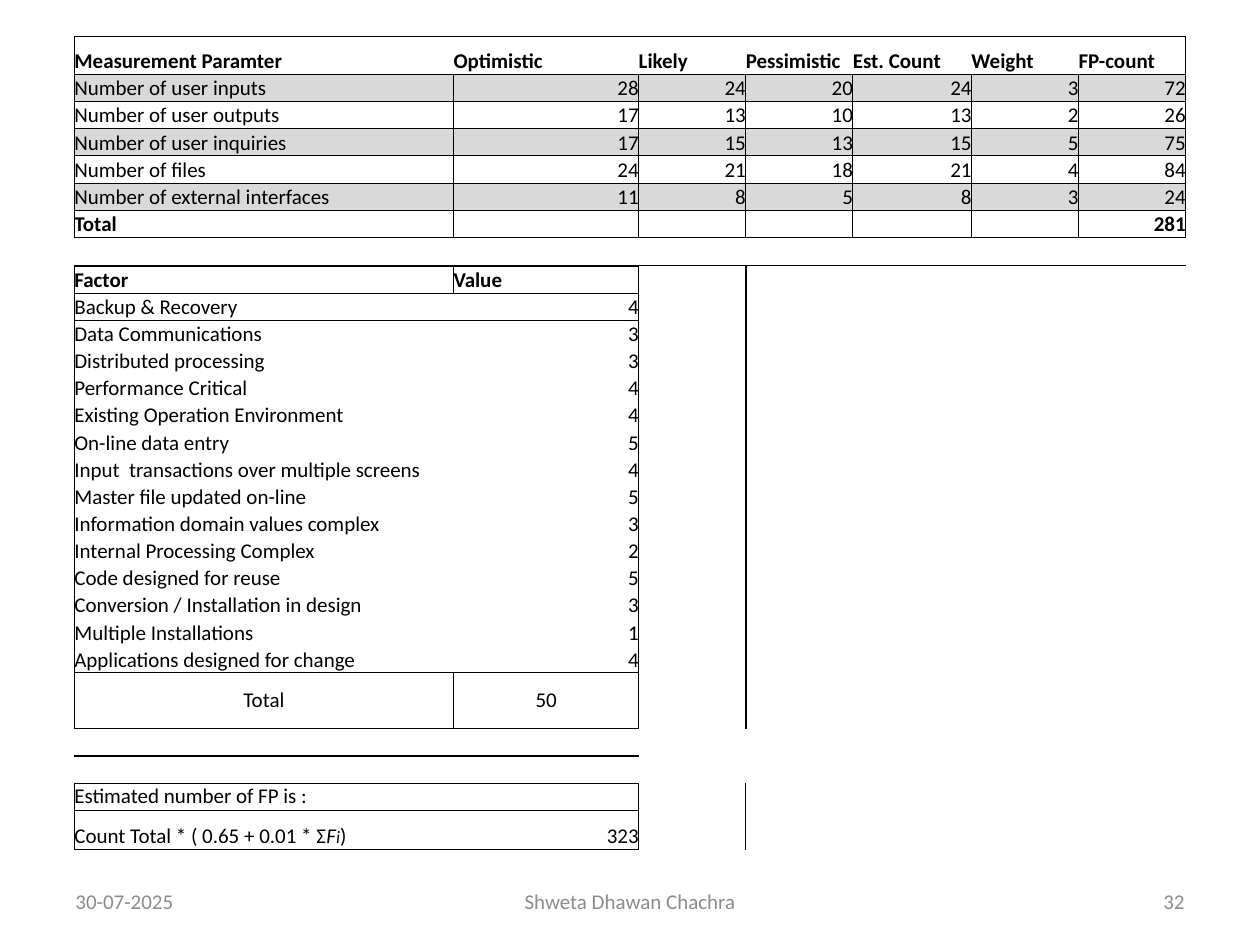
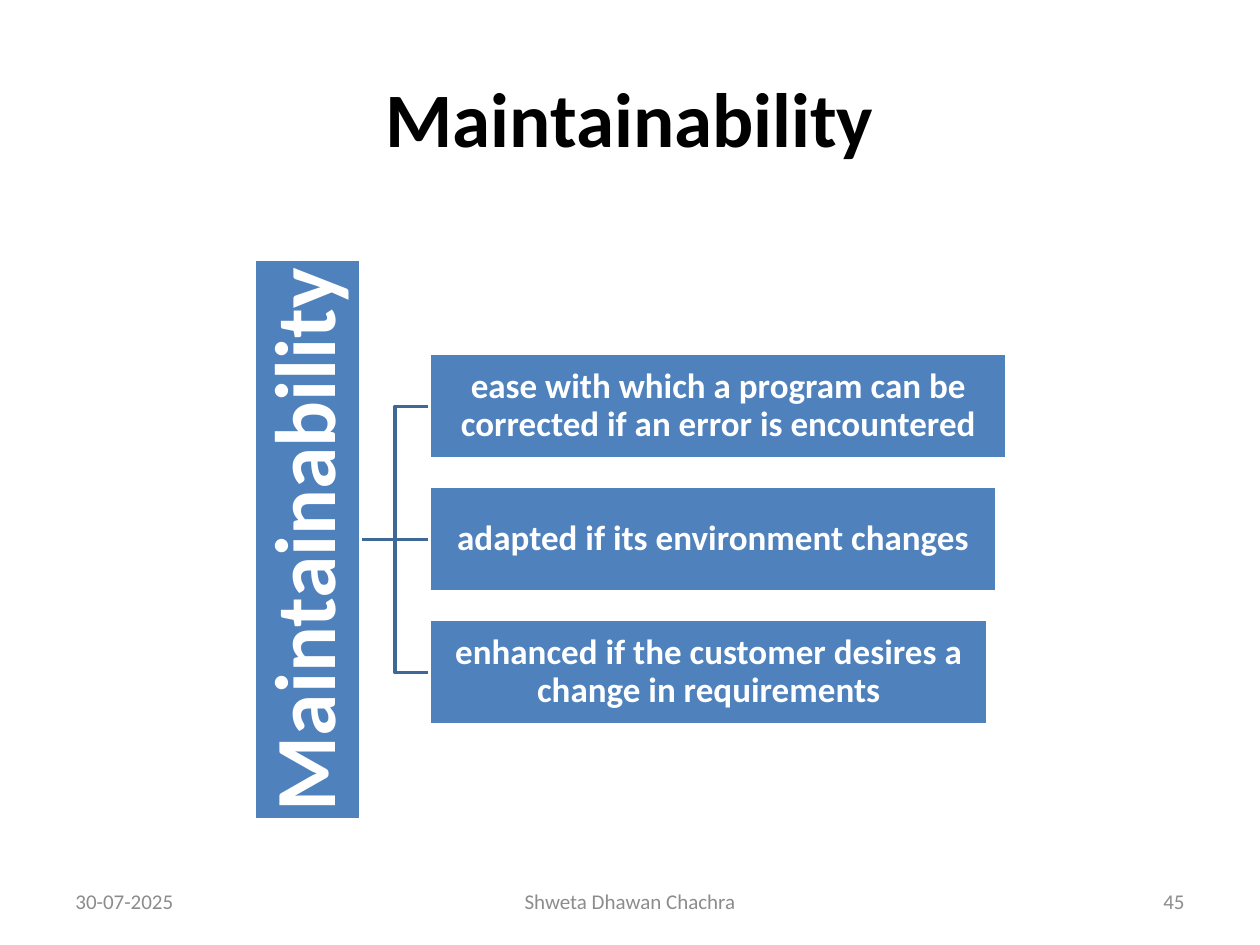
from lxml.etree import SubElement
from pptx import Presentation
from pptx.dml.color import RGBColor
from pptx.enum.shapes import MSO_CONNECTOR as Connector, MSO_SHAPE as Preset
from pptx.enum.text import MSO_ANCHOR as Anchor, PP_ALIGN as Align
from pptx.oxml.ns import qn
from pptx.util import Pt

BLACK = RGBColor(0x00, 0x00, 0x00)
WHITE = RGBColor(0xFF, 0xFF, 0xFF)
FOOTER_GREY = RGBColor(0x8C, 0x8C, 0x8C)
STRIPE_GREY = RGBColor(0xD9, 0xD9, 0xD9)
BOX_BLUE = RGBColor(0x4F, 0x81, 0xBD)
LINE_BLUE = RGBColor(0x3F, 0x67, 0x97)
PLAIN_TABLE_STYLE = "{2D5ABB26-0587-4C30-8999-92F81FD0307C}"
THIN, MEDIUM = 0.5, 1

PARAMETERS = [
    ("Measurement Paramter", "Optimistic", "Likely", "Pessimistic", "Est. Count", "Weight", "FP-count"),
    ("Number of user inputs", 28, 24, 20, 24, 3, 72),
    ("Number of user outputs", 17, 13, 10, 13, 2, 26),
    ("Number of user inquiries", 17, 15, 13, 15, 5, 75),
    ("Number of files", 24, 21, 18, 21, 4, 84),
    ("Number of external interfaces", 11, 8, 5, 8, 3, 24),
    ("Total", "", "", "", "", "", 281),
]
FACTORS = [
    ("Factor", "Value"),
    ("Backup & Recovery", 4),
    ("Data Communications", 3),
    ("Distributed processing", 3),
    ("Performance Critical", 4),
    ("Existing Operation Environment", 4),
    ("On-line data entry", 5),
    ("Input  transactions over multiple screens", 4),
    ("Master file updated on-line", 5),
    ("Information domain values complex", 3),
    ("Internal Processing Complex", 2),
    ("Code designed for reuse", 5),
    ("Conversion / Installation in design", 3),
    ("Multiple Installations", 1),
    ("Applications designed for change", 4),
    ("Total", 50),
]
FORMULA = [("Count Total * ( 0.65 + 0.01 * Σ", None, None), ("F", True, None), ("i", True, 10), (")", None, None)]
RESULT = [("Estimated number of FP is :", ""), (FORMULA, 323)]

GAP_ROW = len(PARAMETERS)
FACTOR_ROW = GAP_ROW + 1
TOTAL_ROW = FACTOR_ROW + len(FACTORS) - 1
RESULT_ROW = TOTAL_ROW + 4
LAST_ROW = RESULT_ROW + 1
COLUMN_WIDTHS = [216.7, 105.8, 61.2, 61.2, 67.8, 61.2, 61.2]
ROW_HEIGHT = 15.53
SPECIAL_HEIGHTS = {0: 21.5, GAP_ROW: 16.4, TOTAL_ROW + 1: 16.4, LAST_ROW: 22.6}

QUALITIES = [
    ("ease with which a program can be corrected if an error is encountered", 330),
    ("adapted if its environment changes", 324),
    ("enhanced if the customer desires a change in requirements", 319),
]


class Borders:
    """Widths of the grid edges, keyed by (row, column) of the cell below or right of the edge."""

    def __init__(self):
        self.across = {}
        self.down = {}

    def outline(self, top, left, bottom, right, width):
        for column in range(left, right + 1):
            self.across[top, column] = self.across[bottom + 1, column] = width
        for row in range(top, bottom + 1):
            self.down[row, left] = self.down[row, right + 1] = width

    def around(self, row, column, height):
        return {
            "lnL": self.down.get((row, column)),
            "lnR": self.down.get((row, column + 1)),
            "lnT": self.across.get((row, column)),
            "lnB": self.across.get((row + height, column)),
        }


class SlideBuilder:
    def __init__(self, deck, font="Calibri"):
        self.deck = deck
        self.font = font
        self.slide = None

    def start(self, number):
        self.slide = self.deck.slides.add_slide(self.deck.slide_layouts[6])
        footers = [
            (36, 168, "30-07-2025", Align.LEFT),
            (246, 228, "Shweta Dhawan Chachra", Align.CENTER),
            (516, 168, str(number), Align.RIGHT),
        ]
        for left, width, text, align in footers:
            self.label(left, 500.4, width, 28.8, text, 12, FOOTER_GREY, align)

    def style(self, para, size, color, align, bold=False):
        para.alignment = align
        para.font.name = self.font
        para.font.size = Pt(size)
        para.font.bold = bold
        para.font.color.rgb = color

    def label(self, left, top, width, height, text, size, color, align, bold=False):
        box = self.slide.shapes.add_textbox(Pt(left), Pt(top), Pt(width), Pt(height))
        frame = box.text_frame
        frame.word_wrap = True
        frame.vertical_anchor = Anchor.MIDDLE
        frame.text = text
        self.style(frame.paragraphs[0], size, color, align, bold)

    def block(self, left, top, width, height, text, size, inset, upward=False):
        """Draw a blue box; its text reads bottom to top when upward is set."""
        box = self.slide.shapes.add_shape(Preset.RECTANGLE, Pt(left), Pt(top), Pt(width), Pt(height))
        box.shadow.inherit = False
        box.fill.solid()
        box.fill.fore_color.rgb = BOX_BLUE
        box.line.color.rgb = WHITE
        box.line.width = Pt(2)
        frame = box.text_frame
        frame.word_wrap = not upward
        frame.vertical_anchor = Anchor.MIDDLE
        frame.margin_left = frame.margin_right = frame.margin_top = frame.margin_bottom = Pt(inset)
        if upward:
            frame._txBody.bodyPr.set("vert", "vert270")
        frame.text = text
        para = frame.paragraphs[0]
        para.line_spacing = 0.9
        self.style(para, size, WHITE, Align.CENTER, bold=True)
        return box

    def join(self, start, end, kind):
        """Connect the right side of start to the left side of end, behind both."""
        connector = self.slide.shapes.add_connector(kind, 0, 0, 0, 0)
        connector.begin_connect(start, 3)
        connector.end_connect(end, 1)
        connector.line.color.rgb = LINE_BLUE
        connector.line.width = Pt(2)
        SubElement(connector._element.spPr, qn("a:effectLst"))
        self.slide.shapes._spTree.insert(2, connector._element)

    def table(self, left, top, widths, heights):
        frame = self.slide.shapes.add_table(
            len(heights), len(widths), Pt(left), Pt(top), Pt(sum(widths)), Pt(sum(heights)))
        table = frame.table
        table.first_row = table.horz_banding = False
        table._tbl.tblPr.find(qn("a:tableStyleId")).text = PLAIN_TABLE_STYLE
        for column, width in zip(table.columns, widths):
            column.width = Pt(width)
        for row, height in zip(table.rows, heights):
            row.height = Pt(height)
        return table

    def fill_cell(self, cell, content, align, anchor, bold, fill, borders):
        cell.margin_left = cell.margin_right = cell.margin_top = cell.margin_bottom = 0
        cell.vertical_anchor = anchor
        para = cell.text_frame.paragraphs[0]
        self.style(para, 12, BLACK, align, bold)
        spans = content if isinstance(content, list) else [(str(content), None, None)]
        for text, italic, size in spans:
            if text:
                span = para.add_run()
                span.text = text
                span.font.italic = italic
                span.font.size = Pt(size) if size else None
        if not content:
            SubElement(para._p, qn("a:endParaRPr"), sz="1200")
        properties = cell._tc.get_or_add_tcPr()
        for side, width in borders.items():
            if width:
                line = SubElement(properties, qn(f"a:{side}"), w=str(Pt(width)))
                solid = SubElement(line, qn("a:solidFill"))
                SubElement(solid, qn("a:srgbClr"), val=str(BLACK))
        if fill is None:
            cell.fill.background()
        else:
            cell.fill.solid()
            cell.fill.fore_color.rgb = fill


def function_point_borders():
    borders = Borders()
    last = len(COLUMN_WIDTHS) - 1
    borders.outline(0, 0, 0, last, THIN)
    for row in range(1, GAP_ROW):
        for column in range(last + 1):
            borders.outline(row, column, row, column, THIN)
    for column in range(2):
        borders.outline(FACTOR_ROW, column, FACTOR_ROW, column, THIN)
        borders.outline(TOTAL_ROW, column, TOTAL_ROW + 1, column, THIN)
    borders.outline(FACTOR_ROW, 0, TOTAL_ROW + 1, 1, MEDIUM)
    borders.outline(RESULT_ROW, 0, LAST_ROW, 1, THIN)
    return borders


def add_function_points(builder):
    builder.start(32)
    heights = [SPECIAL_HEIGHTS.get(row, ROW_HEIGHT) for row in range(LAST_ROW + 1)]
    table = builder.table(42.5, 21, COLUMN_WIDTHS, heights)
    for column in range(2):
        table.cell(TOTAL_ROW, column).merge(table.cell(TOTAL_ROW + 1, column))

    contents = {}
    for first_row, lines in ((0, PARAMETERS), (FACTOR_ROW, FACTORS), (RESULT_ROW, RESULT)):
        for row, line in enumerate(lines, first_row):
            for column, content in enumerate(line):
                contents[row, column] = content

    borders = function_point_borders()
    for row in range(LAST_ROW + 1):
        for column in range(len(COLUMN_WIDTHS)):
            cell = table.cell(row, column)
            content = contents.get((row, column), "")
            align = Align.RIGHT if isinstance(content, int) else Align.LEFT
            if row == TOTAL_ROW:
                align = Align.CENTER
            anchor = Anchor.MIDDLE if row in (TOTAL_ROW, RESULT_ROW) else Anchor.BOTTOM
            bold = row in (0, GAP_ROW - 1, FACTOR_ROW)
            fill = STRIPE_GREY if row in (1, 3, 5) else None
            height = cell.span_height if cell.is_merge_origin else 1
            builder.fill_cell(cell, content, align, anchor, bold, fill, borders.around(row, column, height))


def add_maintainability(builder):
    builder.start(45)
    builder.label(36, 21.6, 648, 90, "Maintainability", 44, BLACK, Align.CENTER, bold=True)
    thickness, middle, pitch, root_height = 60.5, 308.25, 76, 320
    root = builder.block(145.5, middle - root_height / 2, thickness, root_height,
                         "Maintainability", 49, 2.2, upward=True)
    for step, (text, width) in enumerate(QUALITIES, -1):
        quality = builder.block(245.5, middle - thickness / 2 + step * pitch, width, thickness, text, 20, 0.9)
        builder.join(root, quality, Connector.ELBOW if step else Connector.STRAIGHT)


def main():
    deck = Presentation()
    deck.slide_width, deck.slide_height = Pt(720), Pt(540)
    builder = SlideBuilder(deck)
    add_function_points(builder)
    add_maintainability(builder)
    deck.save("out.pptx")


if __name__ == "__main__":
    main()
